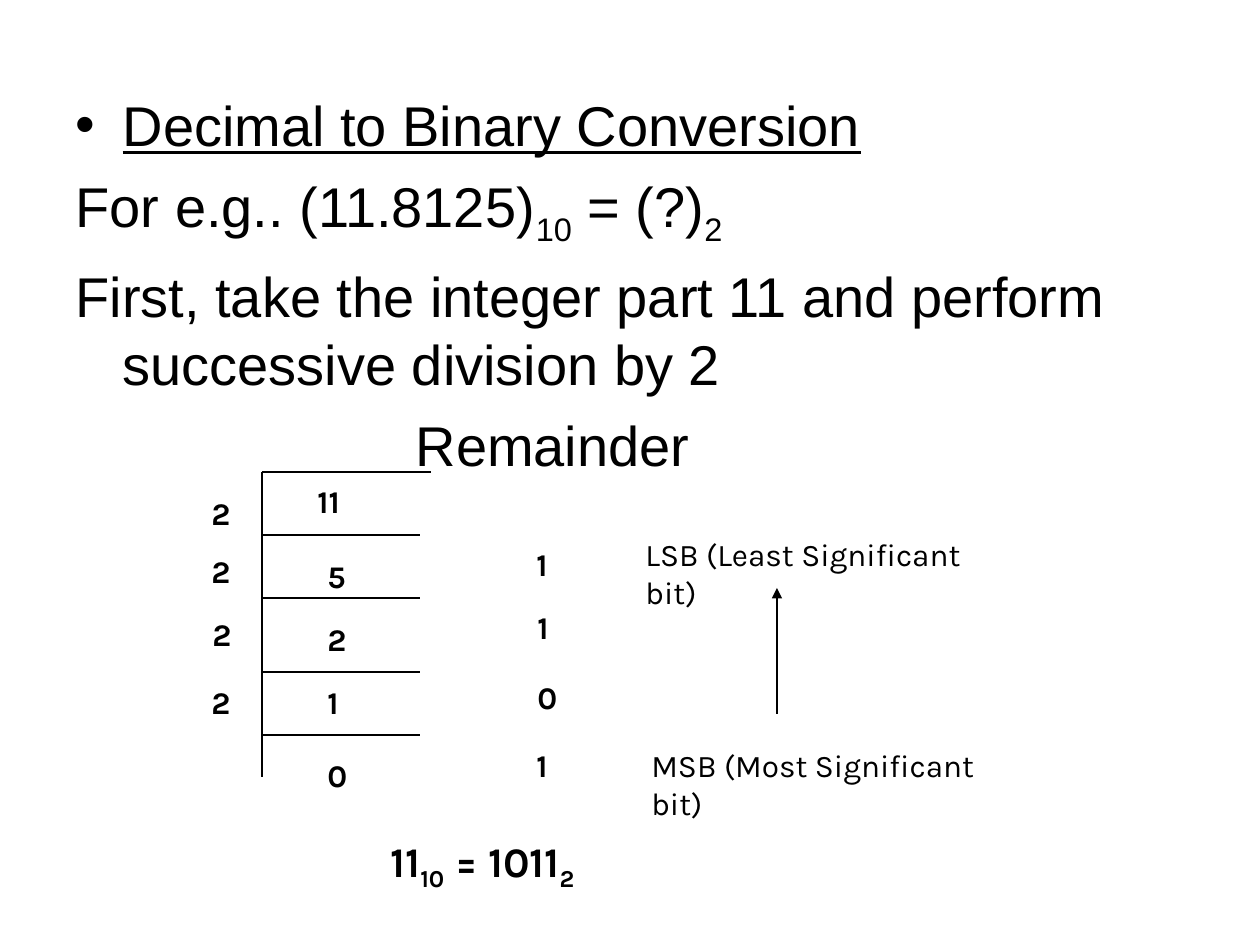
"""Build a slide on decimal to binary conversion by successive division."""
import pptx
import pptx.dml.color
import pptx.enum.shapes
import pptx.enum.text
import pptx.oxml.ns
import pptx.util
from lxml import etree

BLACK = pptx.dml.color.RGBColor(0, 0, 0)
WHITE = pptx.dml.color.RGBColor(255, 255, 255)
PX_PER_INCH = 126
qn = pptx.oxml.ns.qn


def px(length):
    return pptx.util.Emu(round(length * 914400 / PX_PER_INCH))


def add_run(paragraph, text, font="Karla", size=18, bold=False, underline=False, subscript=False):
    run = paragraph.add_run()
    run.text = text
    run.font.name = font
    run.font.size = pptx.util.Pt(size)
    run.font.bold = bold
    run.font.underline = underline
    run.font.color.rgb = BLACK
    if subscript:
        run.font._element.set("baseline", "-25000")


deck = pptx.Presentation()
deck.slide_width, deck.slide_height = px(1260), px(945)
slide = deck.slides.add_slide(deck.slide_layouts[1])
slide.background.fill.solid()
slide.background.fill.fore_color.rgb = WHITE
heading = slide.shapes.title
heading.element.getparent().remove(heading.element)

explanation = slide.placeholders[1]
explanation.left, explanation.top = px(63), px(84)
explanation.width, explanation.height = px(1134), px(756)
explanation.text_frame.auto_size = pptx.enum.text.MSO_AUTO_SIZE.NONE

HANGING = 47
steps = [
    (["Decimal to Binary Conversion"], HANGING, -HANGING),
    (["For e.g.. (11.8125)", "10", " = (?)", "2"], HANGING, -HANGING),
    (["First, take the integer part 11 and perform successive division by 2"], HANGING, -HANGING),
    (["Remainder"], 340, 0),
]
for number, (pieces, margin, indent) in enumerate(steps):
    first = number == 0
    step = explanation.text_frame.paragraphs[0] if first else explanation.text_frame.add_paragraph()
    properties = step._p.get_or_add_pPr()
    properties.set("marL", str(px(margin)))
    properties.set("indent", str(px(indent)))
    if first:
        etree.SubElement(properties, qn("a:buFont")).set("typeface", "Arial")
        etree.SubElement(properties, qn("a:buChar")).set("char", "•")
    else:
        etree.SubElement(properties, qn("a:buNone"))
    step.space_before = pptx.util.Pt(0 if first else 8)
    for position, piece in enumerate(pieces):
        add_run(step, piece, font="Arial", size=32, underline=first, subscript=position % 2 == 1)

LADDER_LEFT, LADDER_TOP = 262, 472
rules = [
    (LADDER_LEFT, LADDER_TOP, LADDER_LEFT, 777),
    (LADDER_LEFT, LADDER_TOP, 431, LADDER_TOP),
]
rules += [(LADDER_LEFT, y, 420, y) for y in (535, 598, 672, 735)]
reading_order = (777, 714, 777, 588)
for ends in rules + [reading_order]:
    rule = slide.shapes.add_connector(
        pptx.enum.shapes.MSO_CONNECTOR.STRAIGHT, *[px(end) for end in ends]
    )
    rule.line.color.rgb = BLACK
    rule.line.width = pptx.util.Pt(0.75)
    if ends == reading_order:
        etree.SubElement(rule.line._get_or_add_ln(), qn("a:tailEnd")).set("type", "triangle")
    etree.SubElement(rule.element.spPr, qn("a:effectLst"))

quotients = [("11", 305, 476), ("5", 315, 551), ("2", 315, 614), ("1", 315, 677), ("0", 315, 750)]
divisors = [("2", 199, 488), ("2", 199, 546), ("2", 200, 609), ("2", 199, 677)]
remainders = [("1", 524, 539), ("1", 525, 602), ("0", 525, 672), ("1", 524, 740)]
labels = [
    ([digit], left, top, 60 if digit == "11" else 46, 50, 18, True)
    for digit, left, top in quotients + divisors + remainders
]
labels += [
    (["LSB (Least Significant bit)"], 633, 529, 394, 50, 18, False),
    (["MSB (Most Significant bit)"], 639, 740, 403, 50, 18, False),
    (["11", "10", " = 1011", "2"], 378, 829, 504, 71, 24, True),
]
for pieces, left, top, width, height, size, bold in labels:
    label = slide.shapes.add_textbox(px(left), px(top), px(width), px(height))
    label.text_frame.word_wrap = True
    for position, piece in enumerate(pieces):
        add_run(
            label.text_frame.paragraphs[0], piece,
            size=size, bold=bold, subscript=position % 2 == 1,
        )

deck.save("out.pptx")
